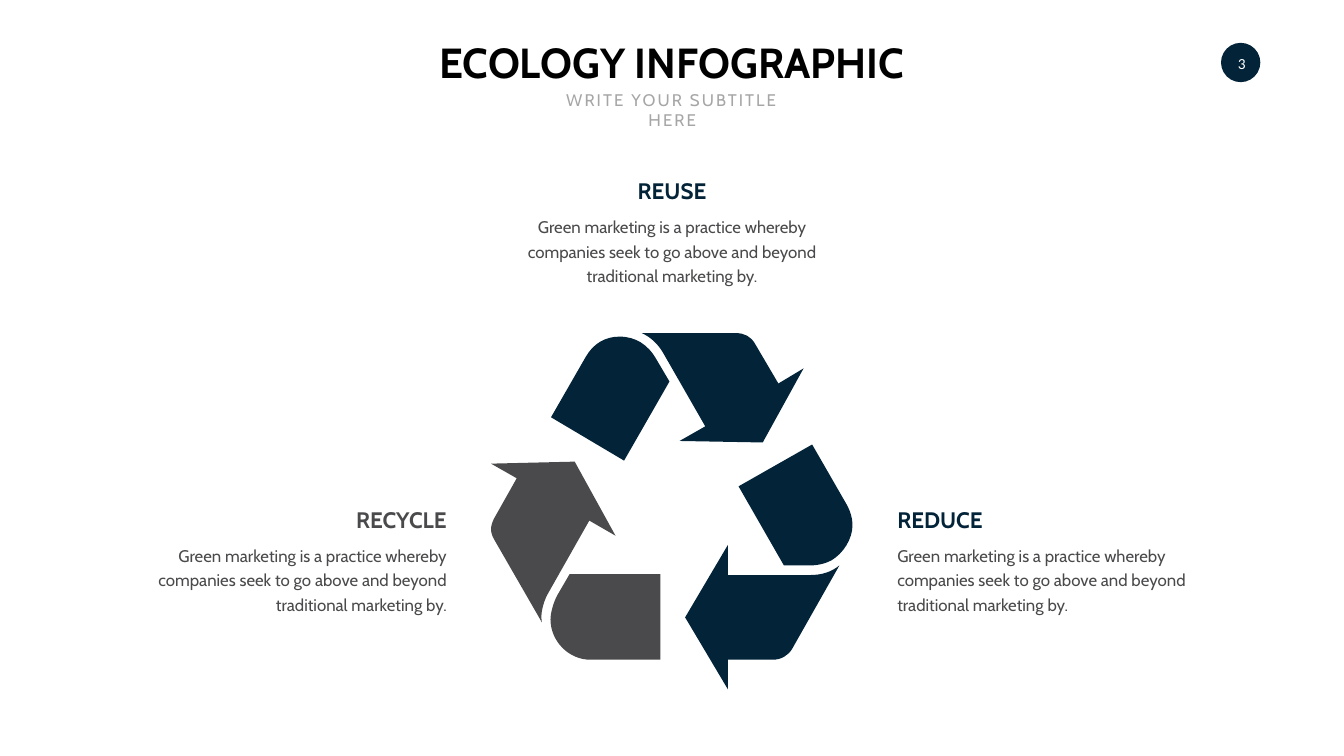
from dataclasses import dataclass

from pptx import Presentation
from pptx import util as u
from pptx.dml.color import RGBColor
from pptx.enum import shapes, text
from pptx.oxml import ns, xmlchemy

NAVY = RGBColor(0x02, 0x23, 0x38)
GRAPHITE = RGBColor(0x4A, 0x4A, 0x4C)
SILVER = RGBColor(0xA6, 0xA6, 0xA6)
BLACK = RGBColor(0, 0, 0)
WHITE = RGBColor(0xFF, 0xFF, 0xFF)

CELL = u.Inches(1)  # the slide is a grid of square cells
COLUMNS, ROWS = 26.66, 15
MIDDLE = COLUMNS / 2
BODY_WIDTH = 6.18
BODY_TEXT = ("Green marketing is a practice whereby companies seek to go "
             "above and beyond traditional marketing by.")

# An outline is a list of corners (x, y) and Bezier curves (x1, y1, x2, y2, x, y).
Outline = list[tuple[float, ...]]

RECYCLE_TAIL: Outline = [
    (11.71, 13.09), (11.28, 13.09, 10.92, 12.72, 10.92, 12.29),
    (10.92, 12.16, 10.98, 11.95, 11.05, 11.82),
    (11.3, 11.39), (13.1, 11.39), (13.1, 13.09)]
RECYCLE_HEAD: Outline = [
    (10.88, 11.76), (10.8, 11.89, 10.74, 12.1, 10.74, 12.23),
    (10.74, 12.26, 10.74, 12.3, 10.75, 12.35),
    (9.8, 10.7), (9.77, 10.65, 9.74, 10.57, 9.74, 10.5),
    (9.74, 10.43, 9.77, 10.35, 9.8, 10.29),
    (10.25, 9.49), (9.74, 9.2), (11.4, 9.16), (12.21, 10.63), (11.69, 10.33)]
REDUCE_TAIL: Outline = [
    (16.8, 10.02), (16.87, 10.15, 16.91, 10.28, 16.91, 10.42),
    (16.91, 10.69, 16.73, 10.98, 16.49, 11.12),
    (16.38, 11.18, 16.22, 11.22, 16.06, 11.22),
    (15.55, 11.22), (14.65, 9.65), (16.11, 8.82)]
REDUCE_HEAD: Outline = [
    (16.07, 11.41), (16.3, 11.41, 16.49, 11.35, 16.65, 11.22),
    (15.71, 12.88), (15.63, 13.01, 15.49, 13.09, 15.33, 13.09),
    (14.44, 13.09), (14.44, 13.68), (13.59, 12.25), (14.44, 10.81), (14.44, 11.41)]
REUSE_HEAD: Outline = [
    (13.17, 7.03), (13.06, 6.83, 12.91, 6.69, 12.73, 6.61),
    (14.6, 6.61), (14.77, 6.61, 14.89, 6.68, 14.97, 6.81),
    (15.44, 7.61), (15.94, 7.31), (15.13, 8.78), (13.48, 8.75), (13.99, 8.46)]
REUSE_TAIL: Outline = [
    (11.62, 7.08), (11.77, 6.82, 12, 6.68, 12.29, 6.68),
    (12.6, 6.68, 12.85, 6.83, 13.02, 7.13),
    (13.28, 7.57), (12.38, 9.14), (10.93, 8.28)]


@dataclass(frozen=True)
class Style:
    size: float
    color: RGBColor
    font: str = "Cabin"
    bold: bool = False
    tracking: int = 0  # hundredths of a point
    leading: float | None = None


@dataclass(frozen=True)
class Stage:
    title: str
    color: RGBColor
    outlines: tuple[Outline, Outline]
    left: float
    top: float
    title_width: float
    align: text.PP_ALIGN


STAGES = [
    Stage("RECYCLE", GRAPHITE, (RECYCLE_TAIL, RECYCLE_HEAD),
          2.78, 9.99, 2.18, text.PP_ALIGN.RIGHT),
    Stage("REDUCE", NAVY, (REDUCE_TAIL, REDUCE_HEAD),
          17.7, 9.99, 1.96, text.PP_ALIGN.LEFT),
    Stage("REUSE", NAVY, (REUSE_HEAD, REUSE_TAIL),
          MIDDLE - BODY_WIDTH / 2, 3.47, 1.57, text.PP_ALIGN.CENTER),
]


def cells(*counts: float) -> list[int]:
    return [round(count * CELL) for count in counts]


def add_arrow(page, outlines: tuple[Outline, ...], color: RGBColor) -> None:
    """Draw the outlines through all their points, then bend the curved steps."""
    builder = page.shapes.build_freeform(*cells(*outlines[0][0]))
    for number, (start, *steps) in enumerate(outlines):
        if number:
            builder.move_to(*cells(*start))
        points = [cells(*step[i:i + 2]) for step in steps for i in range(0, len(step), 2)]
        builder.add_line_segments(points, close=True)
    shape = builder.convert_to_shape()
    paint(shape, color)

    lines = iter(list(shape._element.iter(ns.qn("a:lnTo"))))
    for step in (step for outline in outlines for step in outline[1:]):
        segments = [next(lines) for _ in range(len(step) // 2)]
        if len(segments) == 3:
            curve = xmlchemy.OxmlElement("a:cubicBezTo")
            segments[0].addprevious(curve)
            for segment in segments:
                curve.append(segment[0])
                segment.getparent().remove(segment)


def paint(shape, color: RGBColor) -> None:
    shape.shadow.inherit = False
    shape.fill.solid()
    shape.fill.fore_color.rgb = color
    shape.line.fill.background()


def add_text(page, words: str, area: tuple, style: Style, align: text.PP_ALIGN,
             wrap: bool = False, anchor=text.MSO_ANCHOR.TOP):
    box = page.shapes.add_textbox(*cells(*area))
    frame = box.text_frame
    frame.text = words
    frame.word_wrap = wrap
    frame.auto_size = text.MSO_AUTO_SIZE.SHAPE_TO_FIT_TEXT
    frame.vertical_anchor = anchor
    para = frame.paragraphs[0]
    para.alignment = align
    if style.leading:
        para.line_spacing = u.Pt(style.leading)
    span = para.runs[0]
    span.font.name = style.font
    span.font.size = u.Pt(style.size)
    span.font.bold = style.bold
    span.font.color.rgb = style.color
    if style.tracking:
        span.font._element.set("spc", str(style.tracking))
    return box


def add_page_number(page, number: str) -> None:
    size = 0.78
    badge = page.shapes.add_shape(shapes.MSO_SHAPE.OVAL, *cells(24.22, 0.85, size, size))
    paint(badge, NAVY)
    label = add_text(page, number, (24.24, 0.87, size, size),
                     Style(22, WHITE, font="Calibri"), text.PP_ALIGN.CENTER,
                     wrap=True, anchor=text.MSO_ANCHOR.MIDDLE)
    label.text_frame.auto_size = text.MSO_AUTO_SIZE.NONE
    label.text_frame.margin_left = label.text_frame.margin_right = u.Inches(0.05)


def add_stage_text(page, stage: Stage) -> None:
    slack = BODY_WIDTH - stage.title_width
    share = {text.PP_ALIGN.LEFT: 0, text.PP_ALIGN.CENTER: 0.5, text.PP_ALIGN.RIGHT: 1}
    title_left = stage.left + slack * share[stage.align]
    add_text(page, stage.title, (title_left, stage.top, stage.title_width, 0.64),
             Style(32, stage.color, bold=True), stage.align,
             anchor=text.MSO_ANCHOR.MIDDLE)
    add_text(page, BODY_TEXT, (stage.left, stage.top + 0.7, BODY_WIDTH, 1.52),
             Style(24, GRAPHITE, leading=35), stage.align, wrap=True)


def main() -> None:
    deck = Presentation()
    deck.slide_width, deck.slide_height = cells(COLUMNS, ROWS)
    page = deck.slides.add_slide(deck.slide_layouts[6])

    add_page_number(page, "3")
    for stage in STAGES:
        add_arrow(page, stage.outlines, stage.color)
    add_text(page, "ECOLOGY INFOGRAPHIC", (MIDDLE - 5.13, 0.67, 10.25, 1.11),
             Style(60, BLACK, bold=True), text.PP_ALIGN.CENTER)
    add_text(page, "WRITE YOUR SUBTITLE HERE", (MIDDLE - 2.71, 1.73, 5.43, 0.5),
             Style(24, SILVER, tracking=300), text.PP_ALIGN.CENTER)
    for stage in STAGES:
        add_stage_text(page, stage)

    deck.save("out.pptx")


if __name__ == "__main__":
    main()
